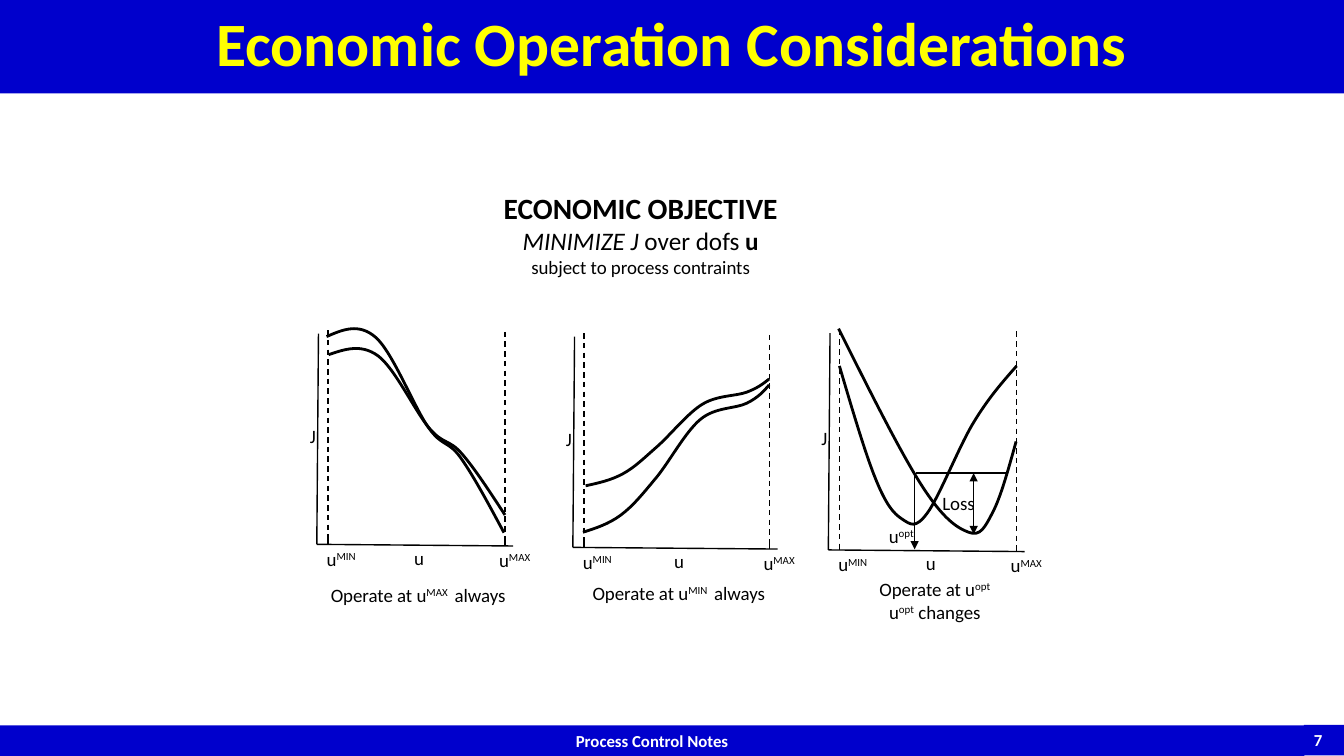
from dataclasses import dataclass
from typing import NamedTuple

from lxml.etree import SubElement as SubEl
from pptx import Presentation
from pptx.dml.color import RGBColor as Color
from pptx.enum.dml import MSO_LINE_DASH_STYLE as Dash
from pptx.enum.shapes import MSO_CONNECTOR_TYPE as Link
from pptx.enum.shapes import MSO_SHAPE as Shape
from pptx.enum.text import MSO_ANCHOR as Anchor
from pptx.enum.text import MSO_AUTO_SIZE as Auto
from pptx.enum.text import PP_PARAGRAPH_ALIGNMENT as Align
from pptx.oxml.ns import qn
from pptx.util import Pt


@dataclass(frozen=True)
class Theme:
    font: str = "Calibri"
    blue: Color = Color(0x00, 0x00, 0xCC)
    gold: Color = Color(0xFF, 0xFF, 0x00)
    white: Color = Color(0xFF, 0xFF, 0xFF)
    black: Color = Color(0x00, 0x00, 0x00)
    title: float = 44
    head: float = 21
    goal: float = 18
    label: float = 13.5
    foot: float = 12
    thin: float = 1
    thick: float = 2


class Span(NamedTuple):
    text: str
    size: float
    bold: bool = False
    slant: bool = False
    raised: bool = False
    color: Color = Theme.black


class Box(NamedTuple):
    left: float
    top: float
    width: float
    height: float


class Spot(NamedTuple):
    x: float
    y: float


class Panel(NamedTuple):
    left: float
    base: float
    span: float
    rise: float
    curves: list[list[Spot]]


class Label(NamedTuple):
    box: Box
    lines: list[list[Span]]
    align: Align = Align.LEFT


LOOK = Theme()


def plain(text: str) -> Span:
    return Span(text, LOOK.label)


def power(text: str) -> Span:
    return Span(text, LOOK.label, raised=True)


def spots(*pairs: tuple[float, float]) -> list[Spot]:
    return [Spot(*pair) for pair in pairs]


def write(frame, lines: list[list[Span]], align: Align) -> None:
    frame.text = "\n".join(line[0].text for line in lines)
    for para, line in zip(frame.paragraphs, lines):
        para.alignment = align
        for span in line[1:]:
            para.add_run().text = span.text
        for run, span in zip(para.runs, line):
            font = run.font
            font.name, font.size = LOOK.font, Pt(span.size)
            font.bold, font.italic = span.bold, span.slant
            font.color.rgb = span.color
            if span.raised:
                run._r.get_or_add_rPr().set("baseline", "30000")


def draw_label(slide, label: Label) -> None:
    frame = slide.shapes.add_textbox(*map(Pt, label.box)).text_frame
    frame.word_wrap = False
    frame.auto_size = Auto.SHAPE_TO_FIT_TEXT
    write(frame, label.lines, label.align)


def draw_bar(slide, box: Box, text: str, align: Align, wrap: bool) -> None:
    bar = slide.shapes.add_shape(Shape.RECTANGLE, *map(Pt, box))
    bar.shadow.inherit = False
    bar.fill.solid()
    bar.fill.fore_color.rgb = LOOK.blue
    bar.line.fill.background()
    bar.text_frame.word_wrap = wrap
    write(bar.text_frame, [[Span(text, LOOK.foot, True, color=LOOK.white)]], align)


def draw_line(slide, start: Spot, end: Spot, dashed: bool = False,
              tips: tuple[str, ...] = ()) -> None:
    link = slide.shapes.add_connector(Link.STRAIGHT, *map(Pt, start + end))
    link.line.color.rgb = LOOK.black
    link.line.width = Pt(LOOK.thin)
    if dashed:
        link.line.dash_style = Dash.DASH
    props = link._element.spPr
    for tip in tips:
        SubEl(props.find(qn("a:ln")), qn(f"a:{tip}"), type="triangle")
    SubEl(props, qn("a:effectLst"))


def mix(a: Spot, b: Spot, part: float) -> Spot:
    return Spot(a.x + (b.x - a.x) * part, a.y + (b.y - a.y) * part)


def bend(knots: list[Spot]) -> list[tuple[Spot, ...]]:
    slopes = [Spot((c.x - a.x) / 6, (c.y - a.y) / 6)
              for a, c in zip(knots, knots[2:])]
    before = [Spot(k.x - s.x, k.y - s.y) for k, s in zip(knots[1:], slopes)]
    after = [Spot(k.x + s.x, k.y + s.y) for k, s in zip(knots[1:], slopes)]
    before.append(mix(after[-1], knots[-1], 0.5))
    after.insert(0, mix(knots[0], before[0], 0.5))
    return list(zip(knots, after, before, knots[1:]))


def point(hull: tuple[Spot, ...], part: float) -> Spot:
    row = list(hull)
    while len(row) > 1:
        row = [mix(a, b, part) for a, b in zip(row, row[1:])]
    return row[0]


def draw_curve(slide, knots: list[Spot]) -> None:
    hulls = bend(knots)
    trace = [point(hull, step / 20) for hull in hulls for step in range(21)]
    xs, ys = zip(*trace)
    left, top = Pt(min(xs)), Pt(min(ys))
    pen = slide.shapes.build_freeform(left, top)
    pen.add_line_segments([(Pt(max(xs)), Pt(max(ys)))], close=False)
    curve = pen.convert_to_shape()
    route = next(curve._element.iter(qn("a:path")))
    for part in list(route):
        route.remove(part)
    moves = [("moveTo", knots[:1])] + [("cubicBezTo", hull[1:]) for hull in hulls]
    for kind, ends in moves:
        move = SubEl(route, qn(f"a:{kind}"))
        for spot in ends:
            SubEl(move, qn("a:pt"), x=str(Pt(spot.x) - left), y=str(Pt(spot.y) - top))
    curve.shadow.inherit = False
    curve.fill.background()
    curve.line.color.rgb = LOOK.black
    curve.line.width = Pt(LOOK.thick)


def draw_panel(slide, panel: Panel) -> None:
    left, base, span, rise, curves = panel
    low, high = left + 8, left + span
    for x, y, width, spans in (
        (left - 12, base - 0.59 * rise, 18.7, [plain("J")]),
        (left + 0.465 * span, base - 2, 21.6, [plain("u")]),
        (left, base - 1.4, 37.4, [plain("u"), power("MIN")]),
        (high - 11.3, base - 0.7, 39.6, [plain("u"), power("MAX")]),
    ):
        draw_label(slide, Label(Box(x, y, width, 23.8), [spans]))
    draw_line(slide, Spot(left + 1.2, base - rise), Spot(left, base))
    draw_line(slide, Spot(high + 5.8, base + 1.2), Spot(left, base))
    for x, foot in ((low, base), (high, base + 1.2)):
        draw_line(slide, Spot(x, foot - 4.3), Spot(x, foot))
        draw_line(slide, Spot(x, foot - rise - 2.5), Spot(x, foot - 2.5), True)
    for knots in curves:
        draw_curve(slide, knots)


PANELS = [
    Panel(226.3, 388.8, 134.4, 150.5, [
        spots((234.7, 253.4), (270, 254.2), (306.7, 306), (329.8, 324), (360.7, 367.9)),
        spots((233.3, 240.5), (268.6, 241.2), (306, 305.3), (329, 326.9), (360, 380.5))]),
    Panel(409.2, 391, 140.4, 150.5, [
        spots((418.3, 347), (445, 338.4), (469.4, 319), (501.8, 288.7), (533.5, 280.1),
              (549.4, 270.7)),
        spots((416.4, 380.2), (443.5, 367.9), (468.7, 341.3), (500.4, 299.5), (533.5, 288),
              (549.4, 275))]),
    Panel(591.7, 392.8, 134.4, 154.8, [
        spots((599.6, 261.4), (625.7, 342.7), (644.4, 370.8), (662.4, 366.5), (695.5, 301.7),
              (726.2, 261.4)),
        spots((599, 234.7), (658.1, 346.3), (691.9, 380.2), (709.2, 365.8), (725.8, 315.4))]),
]

LABELS = [
    Label(Box(229.2, 413.3, 144, 23.8),
          [[plain("Operate at u"), power("MAX "), plain(" always")]]),
    Label(Box(416.2, 411.8, 141.8, 23.8),
          [[plain("Operate at u"), power("MIN "), plain(" always")]]),
    Label(Box(619.5, 409, 96.5, 40.3),
          [[plain("Operate at u"), power("opt")],
           [plain("u"), power("opt"), plain(" changes")]], Align.CENTER),
    Label(Box(627.8, 371, 34.6, 23.8), [[plain("u"), power("opt")]]),
    Label(Box(666, 347.8, 38.2, 23.8), [[plain("Loss")]]),
    Label(Box(351.4, 132.5, 212.4, 70.6),
          [[Span("ECONOMIC OBJECTIVE", LOOK.head, True)],
           [Span("MINIMIZE J ", LOOK.goal, slant=True), Span("over dofs ", LOOK.goal),
            Span("u", LOOK.goal, True)],
           [plain("subject to process contraints")]], Align.CENTER),
]


def draw_title(slide) -> None:
    title = slide.shapes.title
    title.left, title.top, title.width, title.height = map(Pt, Box(0, 0, 960, 66.8))
    title.fill.solid()
    title.fill.fore_color.rgb = LOOK.blue
    frame = title.text_frame
    frame.auto_size = Auto.NONE
    frame.vertical_anchor = Anchor.MIDDLE
    write(frame, [[Span("Economic Operation Considerations", LOOK.title, True,
                        color=LOOK.gold)]], Align.CENTER)
    frame.paragraphs[0].line_spacing = 0.9


def main() -> None:
    deck = Presentation()
    deck.slide_width, deck.slide_height = Pt(960), Pt(540)
    slide = deck.slides.add_slide(deck.slide_layouts[5])
    draw_bar(slide, Box(0, 518.2, 931.7, 21.8), "Process Control Notes", Align.CENTER, True)
    draw_bar(slide, Box(931.4, 517.8, 28.6, 21.8), "7", Align.LEFT, False)
    draw_title(slide)
    for panel in PANELS:
        draw_panel(slide, panel)
    draw_line(slide, Spot(653.3, 339.8), Spot(653.3, 392.4), tips=("tailEnd",))
    draw_line(slide, Spot(654.5, 338), Spot(720, 338))
    draw_line(slide, Spot(695.5, 338), Spot(695.5, 381.6), tips=("headEnd", "tailEnd"))
    for label in LABELS:
        draw_label(slide, label)
    deck.save("out.pptx")


if __name__ == "__main__":
    main()
